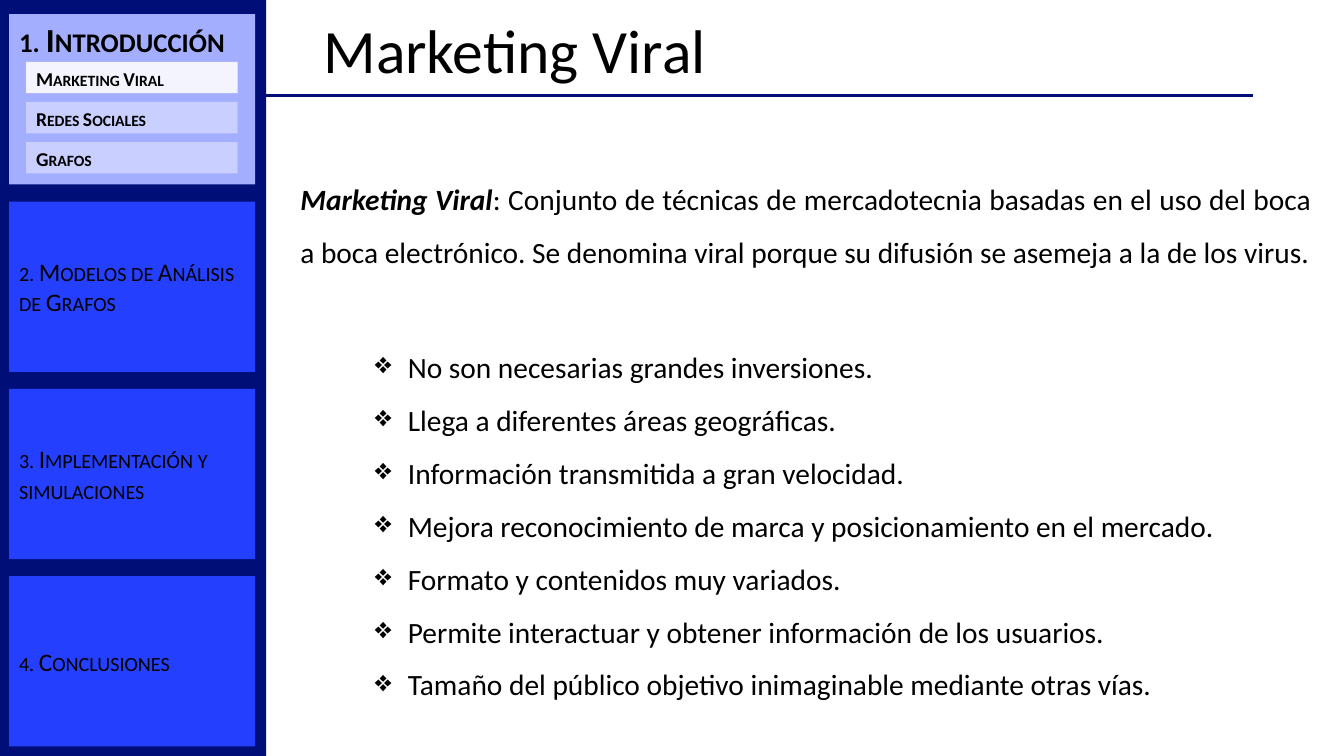
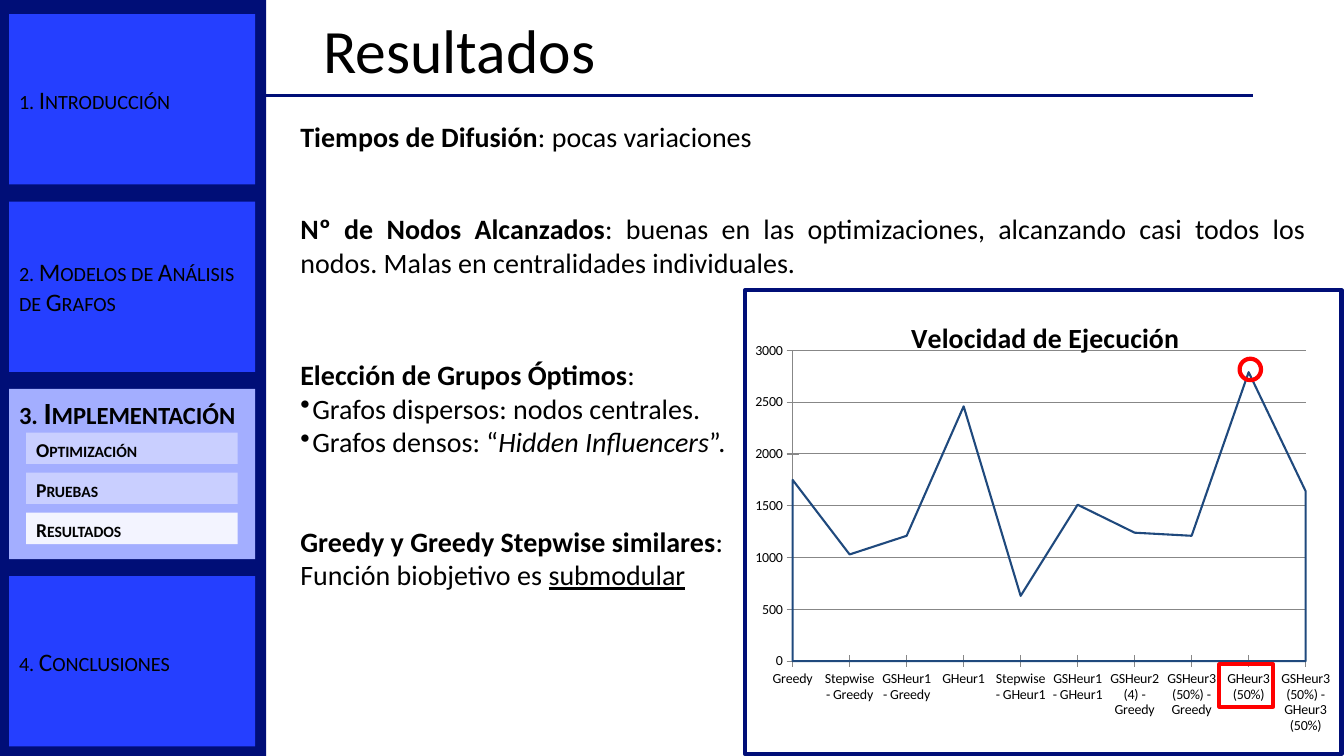
from dataclasses import dataclass

from lxml.etree import SubElement
from pptx import Presentation
from pptx.chart.data import CategoryChartData
from pptx.dml.color import RGBColor
from pptx.enum.chart import XL_CHART_TYPE as ChartType, XL_TICK_MARK as TickMark
from pptx.enum.shapes import MSO_CONNECTOR as Connector, MSO_SHAPE as Shape
from pptx.enum.text import MSO_ANCHOR as Anchor, PP_ALIGN as Align
from pptx.oxml.ns import qn
from pptx.util import Cm, Pt


@dataclass(frozen=True)
class Theme:
    font: str = "Calibri"
    # Colours
    navy: str = "000E77"
    tile: str = "253FFF"
    tile_open: str = "A3AEFF"
    item: str = "C9CFFF"
    item_current: str = "F3F4FF"
    text: str = "000000"
    series: str = "1F497D"
    grid: str = "878787"
    mark: str = "FF0000"
    # Type sizes
    title_size: int = 44
    definition_size: int = 21
    body_size: int = 20
    tile_size: int = 18
    item_size: int = 14
    axis_size: int = 10


@dataclass
class Line:
    """One paragraph: runs are (text, style) with style letters b, i, u."""
    runs: list
    spacing: float = 1.0
    after: int = 0
    bullet: str = ""
    hang: float = 0


SECTIONS = [
    "1. Introducción",
    "2. Modelos de Análisis de Grafos",
    "3. Implementación y simulaciones",
    "4. Conclusiones",
]


def rgb(value):
    return RGBColor.from_string(value)


class Deck:
    def __init__(self, theme):
        self.theme = theme
        self.presentation = Presentation()
        self.presentation.slide_width = Cm(33.87)
        self.presentation.slide_height = Cm(19.05)
        self.slide = None

    # Slide frame: side band, title and rule
    def new_slide(self, title):
        theme = self.theme
        self.slide = self.presentation.slides.add_slide(
            self.presentation.slide_layouts[6])
        self.box((0, 0, 6.71, 19.05), fill=theme.navy)
        rule = self.slide.shapes.add_connector(
            Connector.STRAIGHT, Cm(6.65), Cm(2.41), Cm(31.57), Cm(2.41))
        rule.line.color.rgb = rgb(theme.navy)
        rule.line.width = Pt(2.25)
        SubElement(rule._element.spPr, qn("a:effectLst"))
        self.text((7.9, 0, 23, 2.69), [Line([(title, "")], spacing=0.9)],
                  theme.title_size, Align.LEFT, Anchor.MIDDLE)

    # Section tiles, one of them opened with its items
    def sidebar(self, opened, label, label_size, items, current):
        theme = self.theme
        for index, section in enumerate(SECTIONS):
            top = 0.36 + 4.72 * index
            area = (0.23, top, 6.2, 4.29)
            if index != opened:
                self.label(area, section, theme.tile, theme.tile_size)
                continue
            self.label(area, label, theme.tile_open, label_size, True, Anchor.TOP)
            first = top + 0.05 * label_size
            for row, item in enumerate(items):
                fill = theme.item_current if item == current else theme.item
                self.label((0.66, first + 1.01 * row, 5.33, 0.79), item, fill,
                           theme.item_size, True, Anchor.TOP)

    def label(self, area, text, fill, size, bold=False, anchor=Anchor.MIDDLE):
        shape = self.box(area, fill=fill)
        style = "b" if bold else ""
        self.set_lines(shape.text_frame, [Line([(text, style)])], size,
                       Align.LEFT, anchor)
        for run in shape.text_frame.paragraphs[0].runs:
            run.font._element.set("cap", "small")

    # Basic elements
    def box(self, area, kind=Shape.RECTANGLE, fill=None, line=None):
        shape = self.slide.shapes.add_shape(kind, *map(Cm, area))
        shape.shadow.inherit = False
        if fill:
            shape.fill.solid()
            shape.fill.fore_color.rgb = rgb(fill)
        else:
            shape.fill.background()
        if line:
            shape.line.color.rgb = rgb(line)
            shape.line.width = Pt(3)
        else:
            shape.line.fill.background()
        return shape

    def text(self, area, lines, size, align=Align.JUSTIFY, anchor=Anchor.TOP):
        shape = self.slide.shapes.add_textbox(*map(Cm, area))
        self.set_lines(shape.text_frame, lines, size, align, anchor)

    def set_lines(self, frame, lines, size, align, anchor):
        frame.word_wrap = True
        frame.vertical_anchor = anchor
        for index, line in enumerate(lines):
            paragraph = frame.add_paragraph() if index else frame.paragraphs[0]
            paragraph.alignment = align
            paragraph.line_spacing = line.spacing
            paragraph.space_after = Pt(line.after)
            for text, style in line.runs:
                run = paragraph.add_run()
                run.text = text
                self.style_font(run.font, size)
                run.font.bold = "b" in style
                run.font.italic = "i" in style
                run.font.underline = "u" in style
            if line.bullet:
                properties = paragraph._p.get_or_add_pPr()
                properties.set("marL", str(Cm(line.hang)))
                properties.set("indent", str(-Cm(line.hang)))
                SubElement(properties, qn("a:buChar"), char=line.bullet)

    def style_font(self, font, size):
        font.name = self.theme.font
        font.size = Pt(size)
        font.color.rgb = rgb(self.theme.text)

    # Area chart drawn as an outline, in a frame
    def outline_chart(self, area, title, points, plot_area, title_at):
        theme = self.theme
        data = CategoryChartData()
        data.categories = [name for name, _ in points]
        data.add_series(title, [value for _, value in points])
        chart = self.slide.shapes.add_chart(
            ChartType.AREA, *map(Cm, area), data).chart
        chart.has_legend = False
        self.style_font(chart.font, theme.axis_size)

        chart.has_title = True
        chart.chart_title.text_frame.text = title
        title_font = chart.chart_title.text_frame.paragraphs[0].runs[0].font
        self.style_font(title_font, theme.body_size)
        title_font.bold = True

        series = chart.plots[0].series[0]
        series.format.fill.background()
        series.format.line.color.rgb = rgb(theme.series)
        series.format.line.width = Pt(1.5)

        values = chart.value_axis
        values.minimum_scale, values.maximum_scale = 0, 3000
        values.major_unit = 500
        values.has_major_gridlines = True
        values._element.find(qn("c:crossBetween")).set("val", "midCat")
        chart.category_axis.has_major_gridlines = False
        for axis in (values, chart.category_axis):
            axis.major_tick_mark = TickMark.CROSS
            axis.minor_tick_mark = TickMark.NONE
        for part in (values, chart.category_axis, values.major_gridlines):
            part.format.line.color.rgb = rgb(theme.grid)
            part.format.line.width = Pt(0.75)

        body = chart._chartSpace.find(qn("c:chart"))
        self.place(body.find(qn("c:plotArea")), 0, plot_area, inner=True)
        self.place(body.find(qn("c:title")), 1, title_at)
        self.frame_chart(body)

    def place(self, parent, position, fractions, inner=False):
        for old in parent.findall(qn("c:layout")):
            parent.remove(old)
        layout = SubElement(parent, qn("c:layout"))
        parent.insert(position, layout)
        manual = SubElement(layout, qn("c:manualLayout"))
        if inner:
            SubElement(manual, qn("c:layoutTarget"), val="inner")
        for name in ("xMode", "yMode"):
            SubElement(manual, qn(f"c:{name}"), val="edge")
        for name, value in zip("xywh", fractions):
            SubElement(manual, qn(f"c:{name}"), val=str(value))

    def frame_chart(self, body):
        space = body.getparent()
        properties = SubElement(space, qn("c:spPr"))
        body.addnext(properties)
        SubElement(properties, qn("a:noFill"))
        border = SubElement(properties, qn("a:ln"), w=str(Pt(3)))
        fill = SubElement(border, qn("a:solidFill"))
        SubElement(fill, qn("a:srgbClr"), val=self.theme.navy)


def viral_marketing(deck):
    size = deck.theme.definition_size
    deck.new_slide("Marketing Viral")
    deck.sidebar(0, "1. Introducción", 24,
                 ["Marketing Viral", "Redes Sociales", "Grafos"], "Marketing Viral")
    deck.text((7.32, 3.99, 25.98, 2.95), [Line([
        ("Marketing Viral", "bi"),
        (": Conjunto de técnicas de mercadotecnia basadas en el uso del boca a boca "
         "electrónico. Se denomina viral porque su difusión se asemeja a la de los "
         "virus.", ""),
    ], spacing=1.5)], size)
    advantages = [
        "No son necesarias grandes inversiones.",
        "Llega a diferentes áreas geográficas.",
        "Información transmitida a gran velocidad.",
        "Mejora reconocimiento de marca y posicionamiento en el mercado.",
        "Formato y contenidos muy variados.",
        "Permite interactuar y obtener información de los usuarios.",
        "Tamaño del público objetivo inimaginable mediante otras vías.",
    ]
    deck.text((9.2, 8.23, 23.72, 9.55),
              [Line([(text, "")], spacing=1.5, bullet="❖", hang=0.83)
               for text in advantages], size)


def results(deck):
    theme = deck.theme
    deck.new_slide("Resultados")
    deck.sidebar(2, "3. Implementación", 22,
                 ["Optimización", "Pruebas", "Resultados"], "Resultados")

    # Findings
    deck.text((7.32, 2.46, 25.83, 4.75), [
        Line([("Tiempos de Difusión", "b"), (": pocas variaciones", "")],
             spacing=1.5, after=42),
        Line([("Nº de Nodos Alcanzados", "b"),
              (": buenas en las optimizaciones, alcanzando casi todos los nodos. "
               "Malas en centralidades individuales.", "")]),
    ], theme.body_size)
    deck.text((7.32, 8.89, 11.4, 2.82), [
        Line([("Elección de Grupos Óptimos", "b"), (":", "")]),
        Line([("Grafos dispersos: nodos centrales.", "")], bullet="•", hang=0.3),
        Line([("Grafos densos: “", ""), ("Hidden Influencers", "i"), ("”.", "")],
             bullet="•", hang=0.3),
    ], theme.body_size)
    deck.text((7.32, 13.08, 11.4, 1.96), [
        Line([("Greedy y Greedy Stepwise similares", "b"), (":", "")]),
        Line([("Función biobjetivo es ", ""), ("submodular", "u")]),
    ], theme.body_size)

    # Speed chart with its peak marked
    deck.outline_chart((18.72, 7.26, 15.14, 11.79), "Velocidad de Ejecución", [
        ("Greedy", 1750),
        ("Stepwise - Greedy", 1030),
        ("GSHeur1 - Greedy", 1210),
        ("GHeur1", 2460),
        ("Stepwise - GHeur1", 630),
        ("GSHeur1 - GHeur1", 1510),
        ("GSHeur2 (4) - Greedy", 1240),
        ("GSHeur3 (50%) - Greedy", 1210),
        ("GHeur3 (50%)", 2790),
        ("GSHeur3 (50%) - GHeur3 (50%)", 1640),
    ], plot_area=(0.08, 0.13, 0.86, 0.67), title_at=(0.27, 0.05))
    deck.box((31.24, 9.04, 0.54, 0.54), Shape.OVAL, line=theme.mark)
    deck.box((30.73, 16.74, 1.35, 1.07), line=theme.mark)


def main():
    deck = Deck(Theme())
    viral_marketing(deck)
    results(deck)
    deck.presentation.save("out.pptx")


if __name__ == "__main__":
    main()
